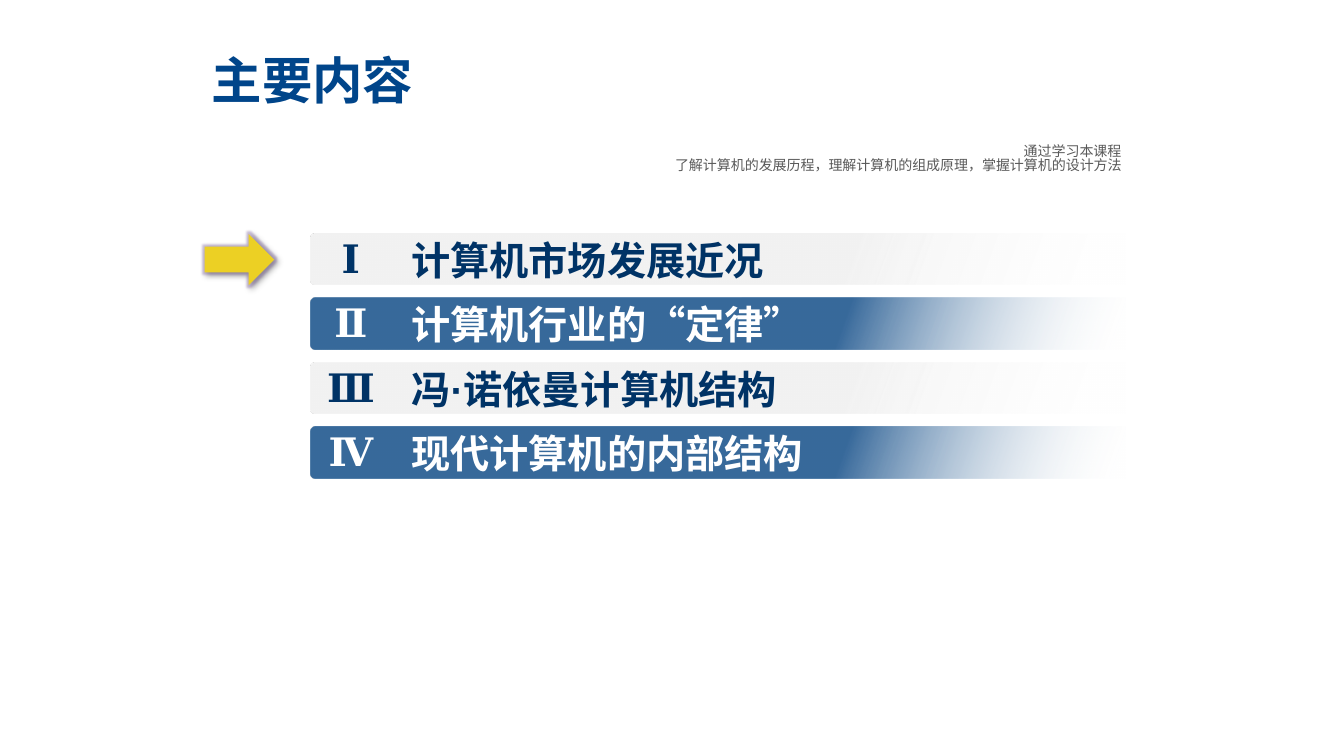
from dataclasses import dataclass

from lxml import etree
from pptx import Presentation
from pptx import util as u
from pptx.dml.color import RGBColor
from pptx.enum import lang, shapes, text
from pptx.oxml import parse_xml
from pptx.oxml.ns import nsdecls, qn


@dataclass(frozen=True)
class Theme:
    title: str = "00458A"
    note: str = "595959"
    navy: str = "003366"
    blue: str = "336699"
    grey: str = "F2F2F2"
    white: str = "FFFFFF"
    yellow: str = "ECD024"
    latin: str = "Arial"
    chinese: str = "Noto Sans CJK SC"
    numeral: str = "Times New Roman"
    title_size: int = 36
    row_size: int = 28
    note_size: int = 10


class AgendaSlide:
    """Draws the elements of an agenda slide in one theme."""

    def __init__(self, presentation, theme):
        self.theme = theme
        self.slide = presentation.slides.add_slide(presentation.slide_layouts[5])

    def fill_text(self, shape, lines, size, color, latin, chinese, bold=True,
                  align=text.PP_ALIGN.LEFT, anchor=text.MSO_ANCHOR.MIDDLE,
                  inset=(0, 0), spacing=1.0):
        frame = shape.text_frame
        frame_format = {
            "word_wrap": True, "auto_size": text.MSO_AUTO_SIZE.NONE,
            "vertical_anchor": anchor,
            "margin_left": u.Inches(inset[0]), "margin_right": u.Inches(inset[0]),
            "margin_top": u.Inches(inset[1]), "margin_bottom": u.Inches(inset[1]),
        }
        for name, value in frame_format.items():
            setattr(frame, name, value)
        frame.text = "\n".join(lines)
        font_format = {"size": u.Pt(size), "bold": bold, "name": latin,
                       "language_id": lang.MSO_LANGUAGE_ID.SIMPLIFIED_CHINESE}
        for paragraph in frame.paragraphs:
            paragraph.alignment = align
            paragraph.line_spacing = spacing
            font = paragraph.runs[0].font
            for name, value in font_format.items():
                setattr(font, name, value)
            font.color.rgb = RGBColor.from_string(color)
            properties = paragraph.runs[0]._r.get_or_add_rPr()
            east_asian = etree.SubElement(properties, qn("a:ea"))
            east_asian.set("typeface", chinese)

    def title(self, wording, box):
        shape = self.slide.shapes.title
        for name, value in zip(("left", "top", "width", "height"), box):
            setattr(shape, name, u.Inches(value))
        theme = self.theme
        self.fill_text(shape, [wording], theme.title_size, theme.title,
                       theme.chinese, theme.chinese)

    def label(self, lines, box, *style, **options):
        shape = self.slide.shapes.add_textbox(*map(u.Inches, box))
        self.fill_text(shape, lines, *style, **options)

    def preset(self, kind, box, color):
        shape = self.slide.shapes.add_shape(kind, *map(u.Inches, box))
        shape.shadow.inherit = False
        shape.fill.solid()
        shape.fill.fore_color.rgb = RGBColor.from_string(color)
        shape.line.fill.background()
        return shape

    def fading_bar(self, center_x, center_y, length, thickness, color, opacity):
        box = (center_x - thickness / 2, center_y - length / 2, thickness, length)
        shape = self.preset(shapes.MSO_SHAPE.ROUND_2_SAME_RECTANGLE, box, color)
        shape.rotation = 270
        shape.adjustments[0] = 0.1
        shape.adjustments[1] = 0
        solid = shape._element.spPr.find(qn("a:solidFill"))
        gradient = parse_xml(
            f'<a:gradFill {nsdecls("a")} rotWithShape="1"><a:gsLst>'
            f'<a:gs pos="65000"><a:srgbClr val="{color}">'
            f'<a:alpha val="{opacity * 1000}"/></a:srgbClr></a:gs>'
            f'<a:gs pos="100000"><a:srgbClr val="{self.theme.white}">'
            '<a:alpha val="0"/></a:srgbClr></a:gs></a:gsLst>'
            f'<a:lin ang="{110 * 60000}" scaled="0"/></a:gradFill>')
        solid.getparent().replace(solid, gradient)

    def pointer(self, box):
        shape = self.preset(shapes.MSO_SHAPE.RIGHT_ARROW, box, self.theme.yellow)
        effects = shape._element.spPr.find(qn("a:effectLst"))
        effects.append(parse_xml(
            f'<a:glow {nsdecls("a")} rad="{u.Pt(3)}"><a:srgbClr val="8064A2">'
            '<a:alpha val="40000"/></a:srgbClr></a:glow>'))
        effects.append(parse_xml(
            f'<a:outerShdw {nsdecls("a")} blurRad="{u.Pt(4)}" dist="{u.Pt(3)}" '
            f'dir="{45 * 60000}" algn="tl" rotWithShape="0">'
            '<a:srgbClr val="000000"><a:alpha val="40000"/></a:srgbClr>'
            '</a:outerShdw>'))

    def agenda_row(self, center_y, numeral, topic, bar, opacity, ink):
        theme = self.theme
        self.fading_bar(7.12, center_y, 8.08, 0.51, bar, opacity)
        self.label([topic], (4.08, center_y - 0.23, 5.02, 0.47),
                   theme.row_size, ink, theme.latin, theme.chinese)
        self.label([numeral], (3.22, center_y - 0.25, 0.52, 0.47),
                   theme.row_size, ink, theme.numeral, theme.numeral,
                   align=text.PP_ALIGN.CENTER)


def main():
    presentation = Presentation()
    presentation.slide_width = u.Inches(13.33)
    presentation.slide_height = u.Inches(7.5)
    theme = Theme()
    agenda = AgendaSlide(presentation, theme)
    agenda.title("主要内容", (2.1, 0.48, 3.92, 0.61))
    agenda.label(["通过学习本课程",
                  "了解计算机的发展历程，理解计算机的组成原理，掌握计算机的设计方法"],
                 (4.67, 1.39, 6.55, 0.44), theme.note_size, theme.note,
                 theme.latin, theme.chinese, bold=False,
                 align=text.PP_ALIGN.RIGHT, anchor=text.MSO_ANCHOR.TOP,
                 inset=(0.1, 0.05), spacing=0.85)
    topics = {"Ⅰ": "计算机市场发展近况", "Ⅱ": "计算机行业的“定律”",
              "Ⅲ": "冯·诺依曼计算机结构", "Ⅳ": "现代计算机的内部结构"}
    looks = ((theme.grey, 100, theme.navy), (theme.blue, 97, theme.white))
    for index, (numeral, topic) in enumerate(topics.items()):
        agenda.agenda_row(2.57 + 0.64 * index, numeral, topic, *looks[index % 2])
    agenda.pointer((2.03, 2.32, 0.69, 0.51))
    presentation.save("out.pptx")


if __name__ == "__main__":
    main()
